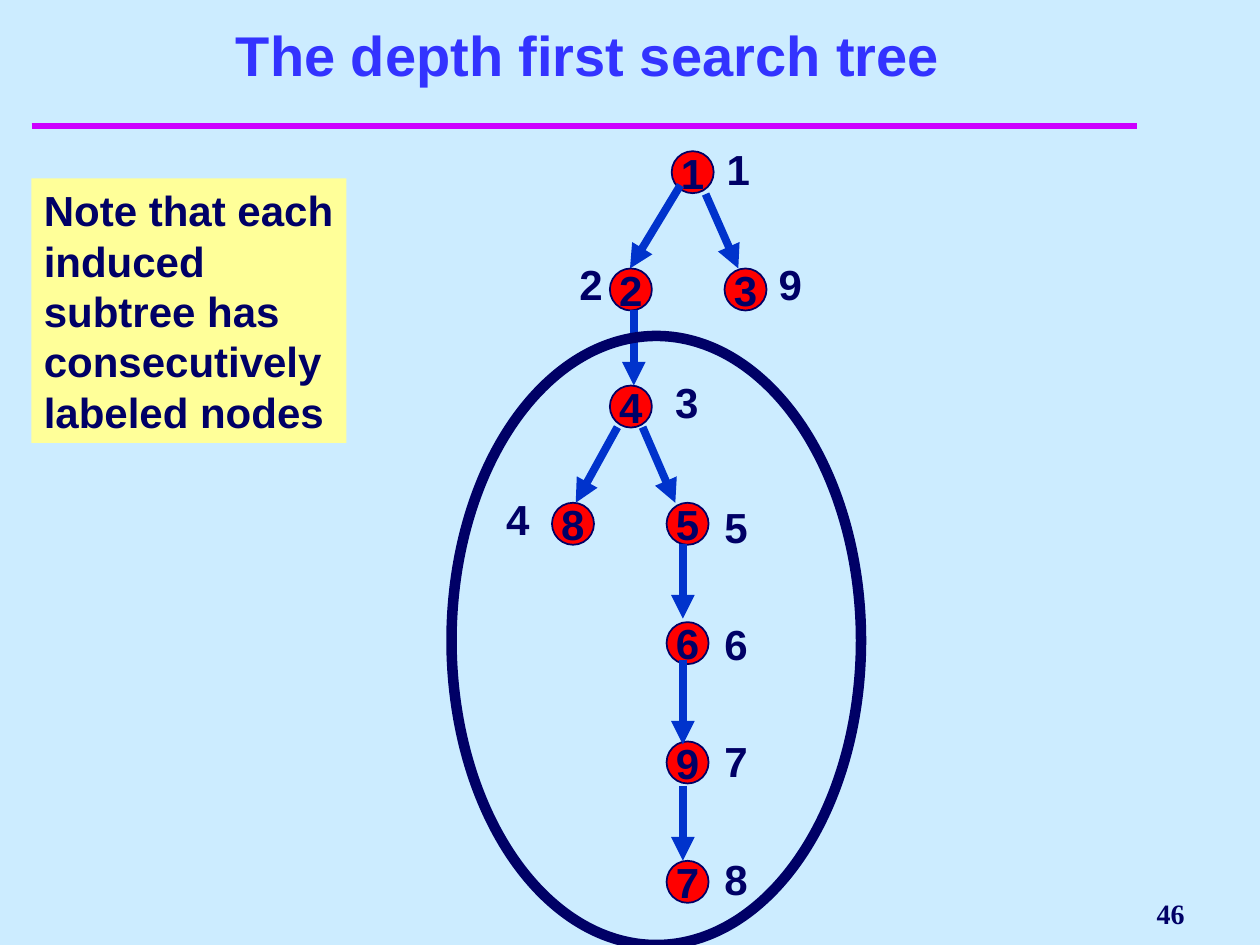
"""Build the slide on the depth first search tree."""
from typing import NamedTuple, Optional

import pptx
import pptx.dml.color
import pptx.enum.shapes
import pptx.enum.text
import pptx.oxml
import pptx.oxml.ns
import pptx.util

Pt = pptx.util.Pt
SHAPE = pptx.enum.shapes.MSO_SHAPE
ALIGN = pptx.enum.text.PP_ALIGN
ANCHOR = pptx.enum.text.MSO_ANCHOR

BACKGROUND, NAVY, BLUE, RED = "CCECFF", "000066", "0033CC", "FF0000"
YELLOW, MAGENTA, TITLE_BLUE = "FFFF99", "CC00FF", "3333FF"
NODE_SIZE = 24
LABEL_HEIGHT = 36


class Node(NamedTuple):
    name: str
    x: float
    y: float
    order: str
    label_x: float
    label_y: float
    label_width: float = 19


class Edge(NamedTuple):
    x1: float
    y1: float
    x2: float
    y2: float


NODES = [
    Node("1", 383.8, 86.4, "1", 408.2, 78.5),
    Node("2", 348.5, 153.4, "2", 324, 144),
    Node("3", 414, 153.4, "9", 437.8, 144),
    Node("4", 348.5, 220.3, "3", 378.7, 211.7),
    Node("8", 315.4, 287.3, "4", 282.2, 278.6, 25),
] + [
    Node(name, 380.9, 287.3 + 68.2 * i, str(5 + i), 406.8, 283 + 67 * i)
    for i, name in enumerate("5697")
]

EDGES = [
    Edge(403.2, 110.9, 421.9, 153.4),
    Edge(388.8, 105.8, 360, 153.4),
    Edge(362.2, 177.1, 362.2, 220.3),
    Edge(367.2, 244.1, 385.9, 287.3),
    Edge(352.8, 244.1, 329, 287.3),
    Edge(390.2, 311, 390.2, 353.5),
    Edge(390.2, 377.3, 390.2, 425.5),
    Edge(390.2, 449.3, 390.2, 491.8),
]


def rgb(value: str):
    return pptx.dml.color.RGBColor.from_string(value)


def write(sp, text: str, *, size: float = 24, font: str = "Arial", color: str = NAVY,
          align=ALIGN.LEFT, anchor=ANCHOR.TOP, wrap: bool = True) -> None:
    tf = sp.text_frame
    tf.auto_size = pptx.enum.text.MSO_AUTO_SIZE.NONE
    tf.word_wrap = wrap
    tf.vertical_anchor = anchor
    tf.margin_left = tf.margin_right = Pt(7.2)
    tf.margin_top = tf.margin_bottom = Pt(3.6)
    p = tf.paragraphs[0]
    p.alignment = align
    r = p.add_run()
    r.text = text
    r.font.size = Pt(size)
    r.font.name = font
    r.font.bold = True
    r.font.color.rgb = rgb(color)


def add_shape(s, kind, x: float, y: float, w: float, h: float,
              fill: Optional[str] = None, line: Optional[str] = None, width: float = 1):
    sp = s.shapes.add_shape(kind, Pt(x), Pt(y), Pt(w), Pt(h))
    sp.shadow.inherit = False
    if fill:
        sp.fill.solid()
        sp.fill.fore_color.rgb = rgb(fill)
    else:
        sp.fill.background()
    if line:
        sp.line.color.rgb = rgb(line)
        sp.line.width = Pt(width)
    else:
        sp.line.fill.background()
    return sp


def add_line(s, edge: Edge, color: str, width: float, arrow: bool = False) -> None:
    sp = s.shapes.add_connector(pptx.enum.shapes.MSO_CONNECTOR.STRAIGHT, *map(Pt, edge))
    sp.line.color.rgb = rgb(color)
    sp.line.width = Pt(width)
    if arrow:
        ln = sp.line._get_or_add_ln()
        ln.append(pptx.oxml.parse_xml(
            f'<a:tailEnd {pptx.oxml.ns.nsdecls("a")} type="triangle"/>'))
    sp._element.spPr.append(pptx.oxml.parse_xml(
        f'<a:effectLst {pptx.oxml.ns.nsdecls("a")}/>'))


def add_label(s, node: Node) -> None:
    sp = add_shape(s, SHAPE.RECTANGLE, node.label_x, node.label_y,
                   node.label_width, LABEL_HEIGHT, BACKGROUND)
    write(sp, node.order)


def add_node(s, node: Node) -> None:
    sp = add_shape(s, SHAPE.OVAL, node.x, node.y, NODE_SIZE, NODE_SIZE, RED, NAVY)
    write(sp, node.name, align=ALIGN.CENTER, anchor=ANCHOR.MIDDLE, wrap=False)


def main() -> None:
    prs = pptx.Presentation()
    prs.slide_width, prs.slide_height = Pt(720), Pt(540)
    s = prs.slides.add_slide(prs.slide_layouts[5])
    s.background.fill.solid()
    s.background.fill.fore_color.rgb = rgb(BACKGROUND)

    title = s.shapes.title
    title.left, title.top, title.width, title.height = map(Pt, (30, 12, 612, 42))
    write(title, "The depth first search tree", size=32, color=TITLE_BLUE,
          align=ALIGN.CENTER, anchor=ANCHOR.BOTTOM)
    add_line(s, Edge(18, 72, 650, 72), MAGENTA, 4)

    number = s.shapes.add_textbox(Pt(546), Pt(504), Pt(138), Pt(36))
    write(number, "46", size=16, font="Times New Roman", align=ALIGN.RIGHT,
          anchor=ANCHOR.MIDDLE, wrap=False)

    for node in NODES:
        add_label(s, node)
    for node in NODES:
        add_node(s, node)
    for edge in EDGES:
        add_line(s, edge, BLUE, 4.5, arrow=True)

    note = add_shape(s, SHAPE.RECTANGLE, 18, 102, 180, 151.2, YELLOW)
    write(note, "Note that each induced subtree has consecutively labeled nodes")
    add_shape(s, SHAPE.OVAL, 258, 192, 234, 348, line=NAVY, width=6)

    prs.save("out.pptx")


if __name__ == "__main__":
    main()
